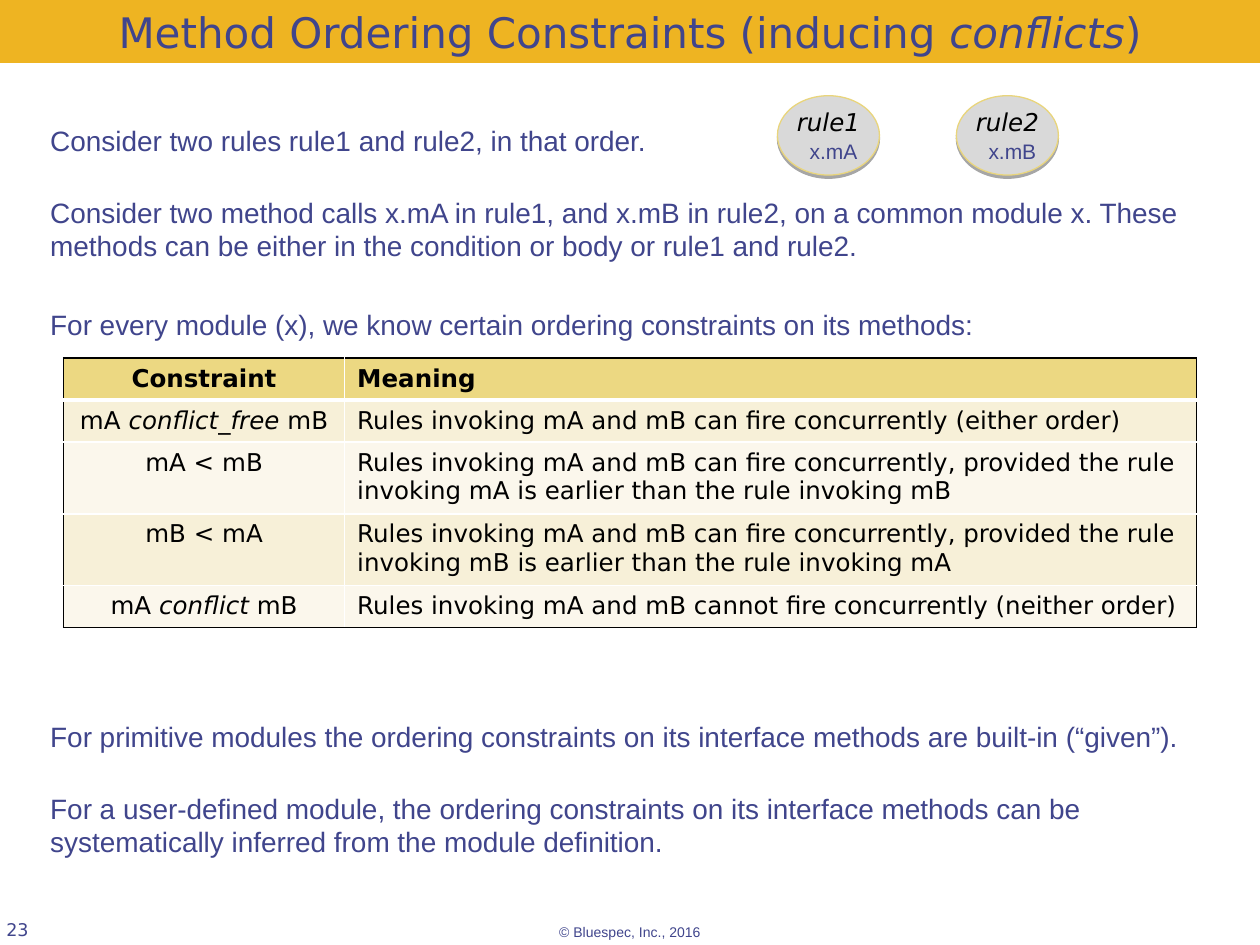
from lxml.etree import SubElement as Sub
from pptx import Presentation
from pptx.dml.color import RGBColor
from pptx.enum.shapes import MSO_SHAPE as Shape
from pptx.enum.text import MSO_ANCHOR as Anchor, PP_ALIGN as Align
from pptx.oxml.ns import qn
from pptx.util import Inches, Pt

deck = Presentation()
deck.slide_width, deck.slide_height = Inches(10), Inches(7.5)
col, row = deck.slide_width / 100, deck.slide_height / 75
slide = deck.slides.add_slide(deck.slide_layouts[6])
shapes = slide.shapes

INK, BLACK, WHITE = "40458C", "000000", "FFFFFF"
SANS, ARIAL = "DejaVu Sans", "Arial"


def tint(code):
    return RGBColor.from_string(code)


def write(frame, lines, size, face, ink, align=Align.LEFT, gap=0, bold=False):
    for i, line in enumerate(lines):
        para = frame.paragraphs[0] if i == 0 else frame.add_paragraph()
        para.alignment = align
        para.space_before = Pt(gap if i else 0)
        font = para.font
        font.size, font.name, font.bold = Pt(size), face, bold
        font.color.rgb = tint(ink)
        for j, part in enumerate(line.split("*")):
            run = para.add_run()
            run.text = part
            if j % 2:
                run.font.italic = True


bar = shapes.add_shape(Shape.RECTANGLE, 0, 0, deck.slide_width, int(5 * row))
bar.shadow.inherit = False
bar.fill.solid()
bar.fill.fore_color.rgb = tint("EEB422")
bar.line.fill.background()
frame = bar.text_frame
frame.margin_left = frame.margin_right = 0
frame.vertical_anchor = Anchor.BOTTOM
write(frame, ["Method Ordering Constraints (inducing *conflicts*)"], 24, SANS, INK, Align.CENTER)

bodies = [
    (9.35, 12.1, ["Consider two rules rule1 and rule2, in that order.",
                  "Consider two method calls x.mA in rule1, and x.mB in rule2, on a common module x. "
                  "These methods can be either in the condition or body or rule1 and rule2."]),
    (23.9, 3.7, ["For every module (x), we know certain ordering constraints on its methods:"]),
    (56.65, 12.1, ["For primitive modules the ordering constraints on its interface methods "
                   "are built-in (“given”).",
                   "For a user-defined module, the ordering constraints on its interface methods "
                   "can be systematically inferred from the module definition."]),
]
for top, high, lines in bodies:
    box = shapes.add_textbox(int(3 * col), int(top * row), int(94.5 * col), int(high * row))
    box.text_frame.word_wrap = True
    write(box.text_frame, lines, 16, ARIAL, INK, gap=21.6)

for left, rule, call in [(61.7, "rule1", "x.mA"), (75.9, "rule2", "x.mB")]:
    oval = shapes.add_shape(Shape.OVAL, int(left * col), int(7.6 * row), int(8.1 * col), int(6.3 * row))
    oval.shadow.inherit = False
    oval.fill.solid()
    oval.fill.fore_color.rgb = tint("D9D9D9")
    oval.line.color.rgb = tint("E9D57C")
    oval.line.width = Pt(0.75)
    glow = Sub(oval._element.spPr.find(qn("a:effectLst")), qn("a:outerShdw"),
               blurRad="0", dist=str(Pt(1.8)), dir="5400000", rotWithShape="0")
    shade = Sub(glow, qn("a:srgbClr"), val=BLACK)
    Sub(shade, qn("a:alpha"), val="35000")
    frame = oval.text_frame
    frame.margin_left = frame.margin_right = frame.margin_top = frame.margin_bottom = 0
    frame.vertical_anchor = Anchor.TOP
    write(frame, [f"*{rule}*"], 14, SANS, BLACK, Align.CENTER)
    box = shapes.add_textbox(int((left + 1.55) * col), int(10.5 * row), int(5.8 * col), int(3 * row))
    box.text_frame.word_wrap = False
    write(box.text_frame, [call], 12, ARIAL, INK, Align.CENTER)

rows = [
    ("Constraint", "Meaning"),
    ("mA *conflict_free* mB", "Rules invoking mA and mB can fire concurrently (either order)"),
    ("mA < mB", "Rules invoking mA and mB can fire concurrently, provided the rule "
                "invoking mA is earlier than the rule invoking mB"),
    ("mB < mA", "Rules invoking mA and mB can fire concurrently, provided the rule "
                "invoking mB is earlier than the rule invoking mA"),
    ("mA *conflict* mB", "Rules invoking mA and mB cannot fire concurrently (neither order)"),
]
last = len(rows) - 1
table = shapes.add_table(len(rows), 2, int(5.05 * col), int(28.4 * row),
                         int(89.9 * col), int(21.3 * row)).table
for c, wide in enumerate([22.3, 67.6]):
    table.columns[c].width = int(wide * col)
for r, high in enumerate([3.3, 3.3, 5.7, 5.7, 3.3]):
    table.rows[r].height = int(high * row)
    for c, text in enumerate(rows[r]):
        cell = table.cell(r, c)
        write(cell.text_frame, [text], 14, SANS, BLACK,
              Align.LEFT if c else Align.CENTER, bold=r == 0)
        edges = [("a:lnL", c == 0, 0.96), ("a:lnR", c == 1, 0.96),
                 ("a:lnT", r == 0, 3 if r == 1 else 0.96),
                 ("a:lnB", r == last, 3 if r == 0 else 0.96)]
        for tag, outer, wide in edges:
            line = Sub(cell._tc.get_or_add_tcPr(), qn(tag), w=str(Pt(wide)))
            Sub(Sub(line, qn("a:solidFill")), qn("a:srgbClr"), val=BLACK if outer else WHITE)
        cell.fill.solid()
        cell.fill.fore_color.rgb = tint("ECD882" if r == 0 else "F7F0D8" if r % 2 else "FBF7EC")

box = shapes.add_textbox(int(0.5 * col), int(69.6 * row), int(20.8 * col), int(5 * row))
frame = box.text_frame
frame.word_wrap = True
frame.margin_left = frame.margin_right = frame.margin_top = frame.margin_bottom = 0
frame.vertical_anchor = Anchor.BOTTOM
write(frame, ["23"], 10, SANS, INK)

box = shapes.add_textbox(int(43.4 * col), int(72.8 * row), int(13.2 * col), int(2.2 * row))
frame = box.text_frame
frame.word_wrap = False
frame.margin_left = frame.margin_right = 0
write(frame, ["© Bluespec, Inc., 2016"], 8, ARIAL, INK, Align.CENTER)

deck.save("out.pptx")
